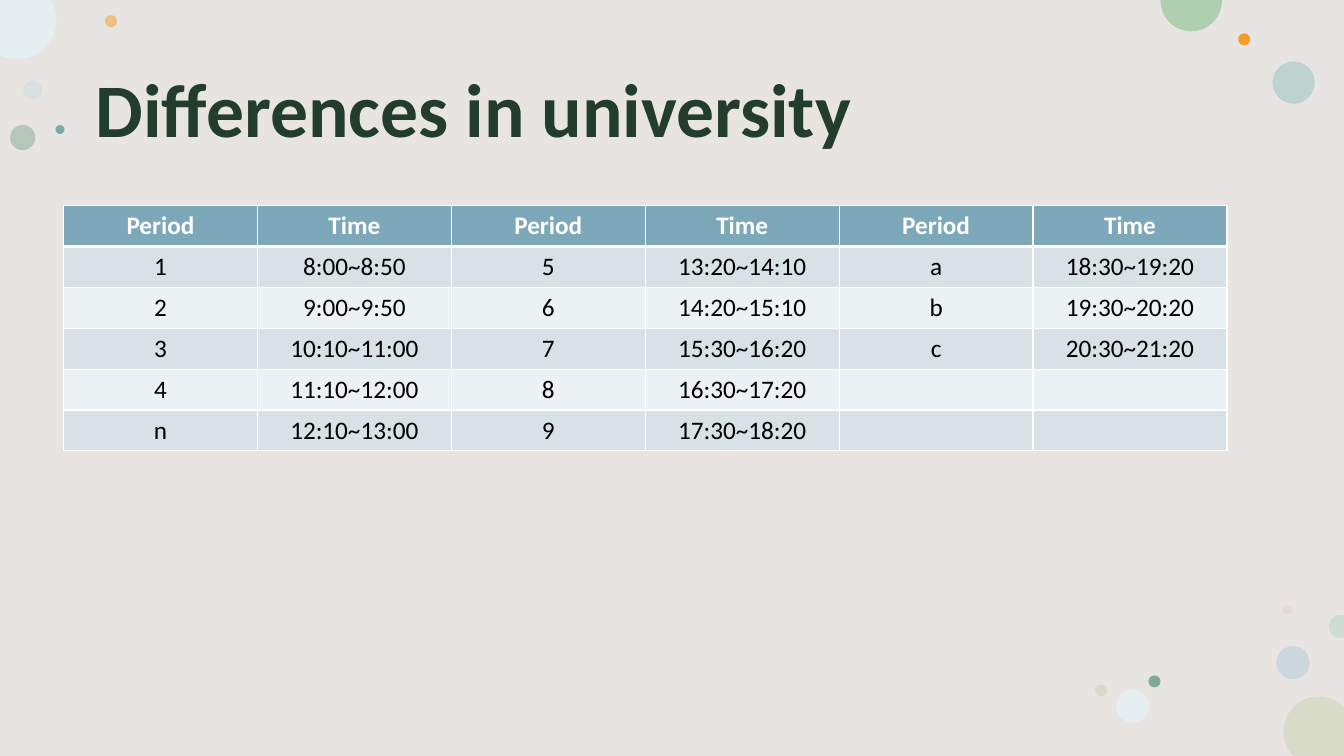
import math

from lxml import etree
from pptx import Presentation
from pptx import util as u
from pptx.dml.color import RGBColor
from pptx.enum import shapes, text
from pptx.oxml import ns

PX = 9144
PAGE = (0, 0, 1333, 750)
FONT = "Calibri"

SAND = RGBColor(0xE8, 0xE4, 0xE2)
FOREST = RGBColor(0x22, 0x3C, 0x2D)
WHITE = RGBColor(0xFF, 0xFF, 0xFF)
BLACK = RGBColor(0x00, 0x00, 0x00)
HEADER_BLUE = RGBColor(0x7D, 0xA8, 0xB9)
BANDS = (RGBColor(0xEC, 0xF1, 0xF3), RGBColor(0xD7, 0xE1, 0xE6))
MIST = RGBColor(0xC8, 0xDE, 0xDB)
ORANGE = RGBColor(0xF3, 0x9E, 0x29)
SKY = RGBColor(0xB1, 0xCB, 0xD5)
SAGE = RGBColor(0x81, 0xAB, 0x94)
AQUA = RGBColor(0xAD, 0xCD, 0xC9)
ROSE = RGBColor(0xE3, 0xBE, 0xBE)
ICE = RGBColor(0xE5, 0xEE, 0xF1)
OLIVE = RGBColor(0xD7, 0xDB, 0xC7)
LEAF = RGBColor(0xAE, 0xD0, 0xAF)
TEAL = RGBColor(0x76, 0xAC, 0xA5)
MINT = RGBColor(0xCD, 0xDD, 0xD4)

DOTS = [
    (23, 80, 19, MIST, 50),
    (104, 15, 12, ORANGE, 50),
    (1266, 641, 33, SKY, 50),
    (10, 124, 25, SAGE, 50),
    (1262, 61, 42, AQUA, 72),
    (1228, 33, 12, ORANGE, 100),
    (1272, 600, 10, ROSE, 28),
    (1139, 670, 12, SAGE, 100),
    (1107, 684, 33, ICE, 100),
    (1086, 679, 12, OLIVE, 100),
    (55, 124, 9, TEAL, 100),
]
EDGE_DOTS = [
    (1273, 691, 70, OLIVE, 136.7, 315.6, [(1333, 750)]),
    (-22, -19, 78, ICE, -30.9, 115.8, [(0, 0)]),
    (1151, -30, 61, LEAF, -0.9, 180.9, []),
    (1318, 610, 23, MINT, 72.3, 287.7, []),
]

HEADINGS = ["Period", "Time"] * 3
PERIODS = [
    ["1", "8:00~8:50", "5", "13:20~14:10", "a", "18:30~19:20"],
    ["2", "9:00~9:50", "6", "14:20~15:10", "b", "19:30~20:20"],
    ["3", "10:10~11:00", "7", "15:30~16:20", "c", "20:30~21:20"],
    ["4", "11:10~12:00", "8", "16:30~17:20", "", ""],
    ["n", "12:10~13:00", "9", "17:30~18:20", "", ""],
]


def emu(box):
    return [round(length * PX) for length in box]


def write(para, words, size, color, bold):
    span = para.add_run()
    span.text = words
    for name, value in {"name": FONT, "size": u.Pt(size), "bold": bold}.items():
        setattr(span.font, name, value)
    span.font.color.rgb = color


def paint(shape, color, opacity=100):
    shape.shadow.inherit = False
    shape.line.fill.background()
    shape.fill.solid()
    shape.fill.fore_color.rgb = color
    if opacity < 100:
        tint = shape.fill._xPr.find(".//" + ns.qn("a:srgbClr"))
        etree.SubElement(tint, ns.qn("a:alpha"), val=str(opacity * 1000))


def cut_circle(page, left, top, size, start, end, corners):
    radius = size / 2
    quarters = [angle for angle in range(0, 360, 90) if start < angle < end]
    angles = [math.radians(angle) for angle in [start, *quarters, end]]

    def place(angle, pull=0):
        x, y = math.cos(angle), math.sin(angle)
        return emu((left + radius * (1 + x - pull * y),
                    top + radius * (1 + y + pull * x)))

    points = [place(angle) for angle in angles] + [emu(corner) for corner in corners]
    builder = page.shapes.build_freeform(*points[0])
    builder.add_line_segments(points[1:], close=True)
    shape = builder.convert_to_shape()
    sides = shape._element.findall(".//" + ns.qn("a:lnTo"))
    for side, first, last in zip(sides, angles, angles[1:]):
        pull = 4 / 3 * math.tan((last - first) / 4)
        side.tag = ns.qn("a:cubicBezTo")
        handles = [place(first, pull), place(last, -pull)]
        for index, (x, y) in enumerate(handles):
            handle = etree.Element(
                ns.qn("a:pt"), x=str(x - shape.left), y=str(y - shape.top))
            side.insert(index, handle)
    return shape


def add_backdrop(page, box):
    paint(page.shapes.add_shape(shapes.MSO_SHAPE.RECTANGLE, *emu(box)), SAND)
    for x, y, size, color, opacity in DOTS:
        frame = emu((box[0] + x, box[1] + y, size, size))
        paint(page.shapes.add_shape(shapes.MSO_SHAPE.OVAL, *frame), color, opacity)
    for x, y, size, color, start, end, corners in EDGE_DOTS:
        dot = cut_circle(page, box[0] + x, box[1] + y, size, start, end, corners)
        paint(dot, color)


def add_title(page, box):
    title = page.shapes.title
    page.shapes._spTree.append(title._element)
    for name, value in zip(("left", "top", "width", "height"), emu(box)):
        setattr(title, name, value)
    frame = title.text_frame
    frame_format = {
        "word_wrap": True,
        "auto_size": text.MSO_AUTO_SIZE.NONE,
        "vertical_anchor": text.MSO_ANCHOR.MIDDLE,
    }
    for name, value in frame_format.items():
        setattr(frame, name, value)
    para = frame.paragraphs[0]
    para.alignment = text.PP_ALIGN.LEFT
    para.line_spacing = 0.9
    write(para, "Differences in university", 54, FOREST, True)


def add_borders(cell, widths):
    for side, points in widths.items():
        edge = etree.SubElement(
            cell._tc.get_or_add_tcPr(), ns.qn("a:ln" + side), w=str(u.Pt(points)))
        ink = etree.SubElement(edge, ns.qn("a:solidFill"))
        etree.SubElement(ink, ns.qn("a:srgbClr"), val=str(WHITE))


def add_timetable(page, box):
    rows = [HEADINGS] + PERIODS
    table = page.shapes.add_table(len(rows), len(HEADINGS), *emu(box)).table
    table.horz_banding = False
    for column in table.columns:
        column.width = round(box[2] * PX / len(HEADINGS))
    for r, row in enumerate(rows):
        header = r == 0
        widths = {"L": 1, "R": 1, "T": 3 if r == 1 else 1, "B": 3 if header else 1}
        for c, words in enumerate(row):
            cell = table.cell(r, c)
            cell.vertical_anchor = text.MSO_ANCHOR.MIDDLE
            add_borders(cell, widths)
            cell.fill.solid()
            cell.fill.fore_color.rgb = HEADER_BLUE if header else BANDS[r % 2]
            para = cell.text_frame.paragraphs[0]
            para.alignment = text.PP_ALIGN.CENTER
            if words:
                write(para, words, 18, WHITE if header else BLACK, header)


def main():
    deck = Presentation()
    deck.slide_width, deck.slide_height = emu(PAGE[2:])
    page = deck.slides.add_slide(deck.slide_layouts.get_by_name("Title Only"))
    add_backdrop(page, PAGE)
    add_title(page, (85, 40, 1166, 145))
    add_timetable(page, (63, 204, 1154, 240))
    deck.save("out.pptx")


if __name__ == "__main__":
    main()
